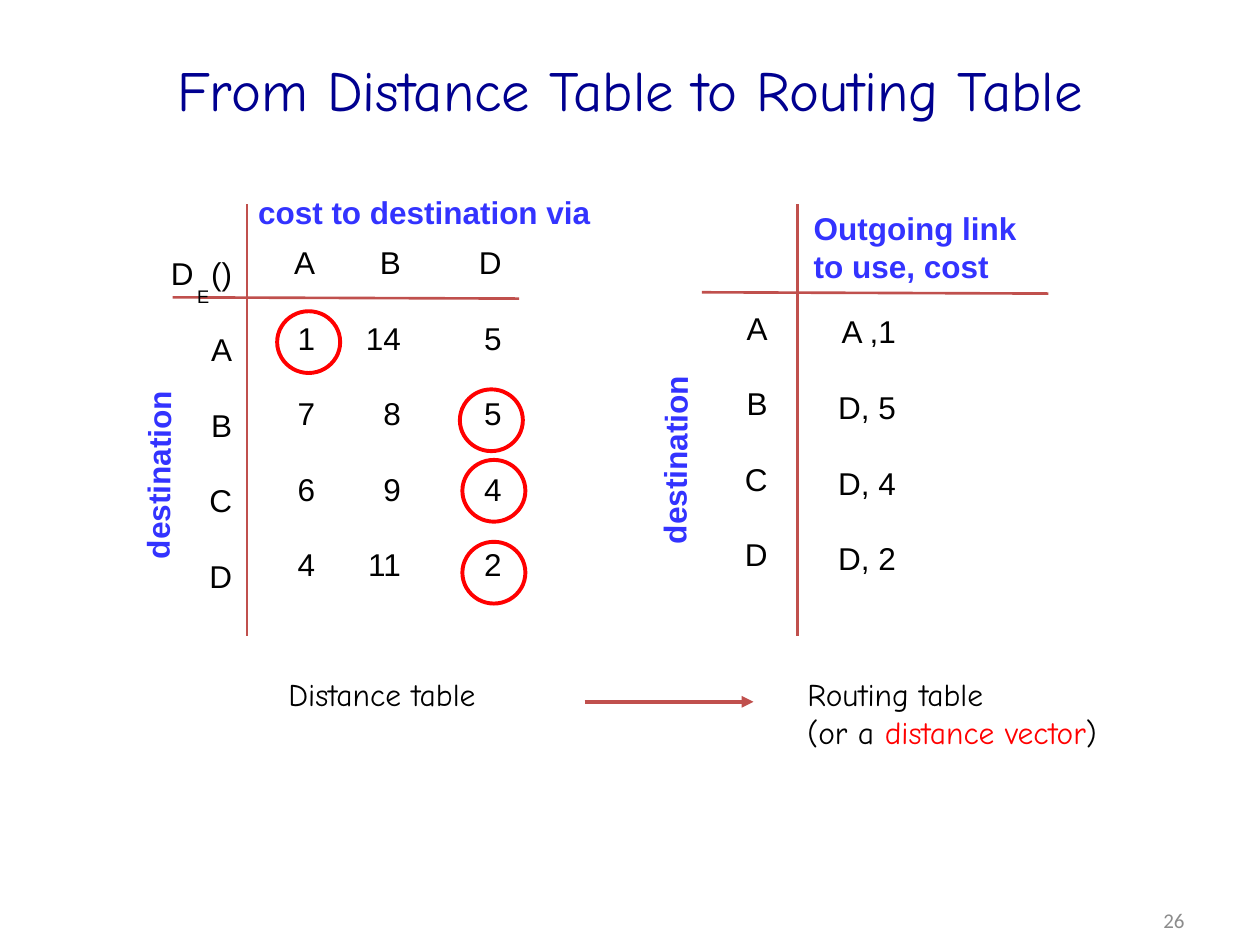
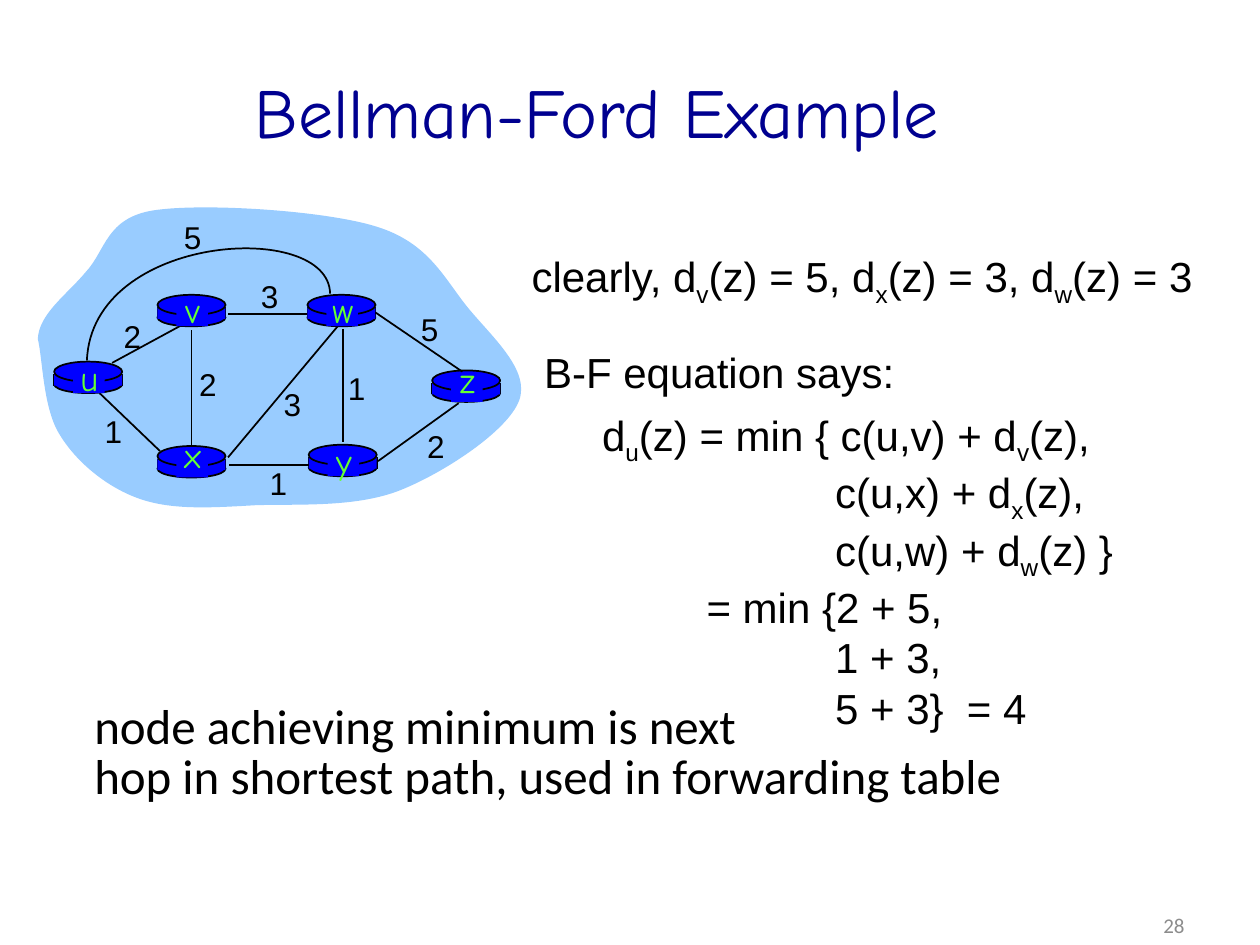
from lxml import etree
from pptx import Presentation, util as u
from pptx.dml.color import RGBColor
from pptx.enum import shapes, text
from pptx.oxml.ns import qn

PX = 9144
BLACK = RGBColor(0, 0, 0)
NAVY = RGBColor(0, 0, 0x90)
GRAY = RGBColor(0x8C, 0x8C, 0x8C)
LABEL_BLUE = RGBColor(0x33, 0x33, 0xFF)
RULE_RED = RGBColor(0xC0, 0x50, 0x4D)
RED = RGBColor(0xFF, 0, 0)
ROUTER_BLUE = RGBColor(0, 0, 0xFF)
CLOUD_BLUE = RGBColor(0x99, 0xCC, 0xFF)
LETTER_GREEN = RGBColor(0x66, 0xFF, 0x33)
SANS, HAND, BODY = "Arial", "Comic Neue", "Calibri"
LEFT, CENTER, RIGHT = text.PP_ALIGN.LEFT, text.PP_ALIGN.CENTER, text.PP_ALIGN.RIGHT
OVAL, RECT = shapes.MSO_SHAPE.OVAL, shapes.MSO_SHAPE.RECTANGLE

ROW_GAP = 21.6
COLUMNS = [
    ((55, 197, 139, 283), ["D  ()", "A", "B", "C", "D"]),
    ((223, 188, 37, 283), ["A", "1", "7", "6", "4"]),
    ((273, 188, 55, 283), ["B", "14", "8", "9", "11"]),
    ((370, 188, 38, 283), ["D", "5", "5", "4", "2"]),
    ((575, 240, 44, 309), ["A", "B", "C", "D"]),
    ((648, 243, 73, 222), ["A ,1", "D, 5", "D, 4", "D, 2"]),
]
NODE_INDEX = (145, 205, 31, 30)
TABLE_RULES = [
    (137, 236, 412, 237), (196, 162, 196, 505),
    (557, 232, 832, 233), (633, 162, 633, 505),
]
BEST_COSTS = [(220, 247), (365, 309), (367, 365), (367, 430)]
TABLE_LABELS = [
    ((195, 148, 284, 40), ["cost to destination via"], 0),
    ((636, 161, 188, 70), ["Outgoing link", "to use, cost"], 0),
    ((49, 357, 153, 40), ["destination"], 270.6),
    ((459, 345, 153, 40), ["destination"], 270.6),
]
CAPTIONS = [
    ((219, 531, 245, 50), ["Distance table"]),
    ((631, 531, 275, 71), ["Routing table", "(or a |distance vector|)"]),
]
ARROW = (464, 557, 598, 557)

CLOUD = [
    (30, 269),
    (31, 249), (53, 234), (68, 216), (84, 199), (84, 173), (122, 167),
    (161, 161), (258, 167), (299, 180), (341, 193), (353, 222), (372, 245),
    (391, 268), (421, 294), (412, 318), (403, 342), (353, 375), (318, 389),
    (283, 403), (237, 400), (203, 401), (168, 403), (137, 405), (111, 396),
    (85, 387), (61, 367), (48, 346), (34, 325), (34, 285), (30, 269),
]
ARC_U_W = [(262, 233), (261, 174), (73, 185), (69, 286)]
LINK_U_V = (89, 288, 148, 256)
LINKS = [
    (272, 261, 272, 351), (152, 262, 152, 355), (181, 363, 268, 259),
    (300, 366, 364, 320), (245, 369, 182, 369), (127, 358, 79, 312),
    (244, 249, 181, 249), (367, 295, 298, 248),
]
ROUTERS = [
    ("u", 43, 287, 9), ("x", 125, 354, 15), ("v", 125, 234, 10),
    ("w", 244, 234, 10), ("y", 245, 353, 9), ("z", 343, 294, 14),
]
COSTS = [
    ("2", 88, 247), ("2", 148, 285), ("1", 73, 322), ("3", 215, 301),
    ("1", 204, 363), ("1", 266, 288), ("2", 329, 334), ("5", 324, 241),
    ("3", 197, 215), ("5", 136, 168),
]
KNOWN = ["clearly, d_v(z) = 5, d_x(z) = 3, d_w(z) = 3"]
EQUATION = [
    (0, "d_u(z) = min { c(u,v) + d_v(z),"),
    (185, "c(u,x) + d_x(z),"),
    (185, "c(u,w) + d_w(z) }"),
    (83, "= min {2 + 5,"),
    (185, "1 + 3,"),
    (185, "5 + 3}  = 4"),
]
CONCLUSION = ["node achieving minimum is next",
              "hop in shortest path, used in forwarding table"]


def scaled(*lengths):
    return [round(length * PX) for length in lengths]


def add_span(para, words, size, font, color, bold, lowered=False):
    if not words:
        return
    span = para.add_run()
    span.text = words
    span.font.size, span.font.name = u.Pt(size), font
    span.font.color.rgb, span.font.bold = color, bold
    if lowered:
        span._r.get_or_add_rPr().set("baseline", "-25000")


def add_text(page, place, lines, size=18, font=SANS, color=BLACK, bold=False,
             align=LEFT, wrap=False, middle=False, row_gap=0, spacing=None,
             indents=None, rotation=0):
    box = page.shapes.add_textbox(*scaled(*place))
    box.rotation = rotation
    frame = box.text_frame
    frame.word_wrap = wrap
    if not wrap:
        frame.auto_size = text.MSO_AUTO_SIZE.SHAPE_TO_FIT_TEXT
    if middle:
        frame.vertical_anchor = text.MSO_ANCHOR.MIDDLE
    for row, line in enumerate(lines):
        para = frame.add_paragraph() if row else frame.paragraphs[0]
        para.alignment = align
        if row and row_gap:
            para.space_before = u.Pt(row_gap)
        if spacing:
            para.line_spacing = spacing
        if indents and indents[row]:
            para._p.get_or_add_pPr().set("marL", str(indents[row] * PX))
        for index, part in enumerate(line.split("|")):
            tone = RED if index % 2 else color
            first, *rest = part.split("_")
            add_span(para, first, size, font, tone, bold)
            for piece in rest:
                add_span(para, piece[0], size, font, tone, bold, True)
                add_span(para, piece[1:], size, font, tone, bold)


def paint(shape, fill=None, line=None, width=1):
    shape.shadow.inherit = False
    if fill is None:
        shape.fill.background()
    else:
        shape.fill.solid()
        shape.fill.fore_color.rgb = fill
    if line is None:
        shape.line.fill.background()
    else:
        shape.line.color.rgb = line
        shape.line.width = u.Pt(width)


def add_shape(page, kind, place, **style):
    paint(page.shapes.add_shape(kind, *scaled(*place)), **style)


def add_line(page, ends, color=BLACK, width=1, arrow=False):
    line = page.shapes.add_connector(shapes.MSO_CONNECTOR.STRAIGHT, *scaled(*ends))
    line.line.color.rgb = color
    line.line.width = u.Pt(width)
    properties = line._element.spPr
    if arrow:
        etree.SubElement(properties.find(qn("a:ln")), qn("a:tailEnd"), type="triangle")
    etree.SubElement(properties, qn("a:effectLst"))


def add_curve(page, points, closed, **style):
    builder = page.shapes.build_freeform(*points[0], scale=PX)
    builder.add_line_segments(points[1:], close=closed)
    shape = builder.convert_to_shape()
    corners = list(shape._element.iter(qn("a:lnTo")))
    for first, second, third in zip(corners[::3], corners[1::3], corners[2::3]):
        first.tag = qn("a:cubicBezTo")
        for corner in (second, third):
            first.append(corner[0])
            corner.getparent().remove(corner)
    paint(shape, **style)


def add_router(page, x, y):
    add_shape(page, OVAL, (x, y + 11, 54, 14), fill=ROUTER_BLUE, line=BLACK)
    for side in (x, x + 54):
        add_line(page, (side, y + 10, side, y + 19))
    add_shape(page, RECT, (x, y + 10, 54, 9), fill=ROUTER_BLUE)
    add_shape(page, OVAL, (x, y, 54, 16), fill=ROUTER_BLUE, line=BLACK)


def add_router_name(page, name, x, y, lift):
    add_shape(page, RECT, (x + 15, y + 2, 25, 23), fill=ROUTER_BLUE)
    add_text(page, (x + 10, y - lift, 36, 43), [name], 20, HAND, LETTER_GREEN, align=CENTER)


def add_page(deck, title, title_place, title_size, number, number_top):
    page = deck.slides.add_slide(deck.slide_layouts[6])
    add_text(page, (717, number_top, 233, 40), [str(number)], 12, BODY, GRAY,
             align=RIGHT, wrap=True, middle=True)
    add_text(page, title_place, [title], title_size, HAND, NAVY,
             align=CENTER, wrap=True, middle=True)
    return page


def build_tables(deck):
    page = add_page(deck, "From Distance Table to Routing Table",
                    (75, 8, 850, 125), 32.4, 26, 710)
    for place, cells in COLUMNS:
        add_text(page, place, cells, align=RIGHT, wrap=True, row_gap=ROW_GAP)
    for ends in TABLE_RULES:
        add_line(page, ends, RULE_RED, 1.5)
    for x, y in BEST_COSTS:
        add_shape(page, OVAL, (x, y, 50, 49), line=RED, width=2.25)
    add_text(page, NODE_INDEX, ["_E"], align=RIGHT)
    for place, lines, rotation in TABLE_LABELS:
        add_text(page, place, lines, color=LABEL_BLUE, bold=True, rotation=rotation)
    for place, lines in CAPTIONS:
        add_text(page, place, lines, font=HAND)
    add_line(page, ARROW, RULE_RED, 2.25, arrow=True)


def build_example(deck):
    page = add_page(deck, "Bellman-Ford Example ", (58, 40, 850, 96), 40, 28, 714)
    add_curve(page, CLOUD, True, fill=CLOUD_BLUE)
    add_line(page, LINK_U_V)
    for name, x, y, lift in ROUTERS:
        add_router(page, x, y)
    for ends in LINKS:
        add_line(page, ends)
    add_curve(page, ARC_U_W, False, line=BLACK)
    for router in ROUTERS:
        add_router_name(page, *router)
    for cost, x, y in COSTS:
        add_text(page, (x, y, 34, 40), [cost], align=CENTER)
    add_text(page, (412, 194, 552, 50), KNOWN, 24)
    indents, lines = zip(*EQUATION)
    add_text(page, (468, 320, 427, 250), lines, 24, indents=indents)
    add_text(page, (65, 554, 740, 90), CONCLUSION, 28, BODY, spacing=0.85)
    add_text(page, (422, 270, 298, 50), ["B-F equation says:"], 24)


def main():
    deck = Presentation()
    deck.slide_width, deck.slide_height = scaled(1000, 750)
    build_tables(deck)
    build_example(deck)
    deck.save("out.pptx")


if __name__ == "__main__":
    main()
